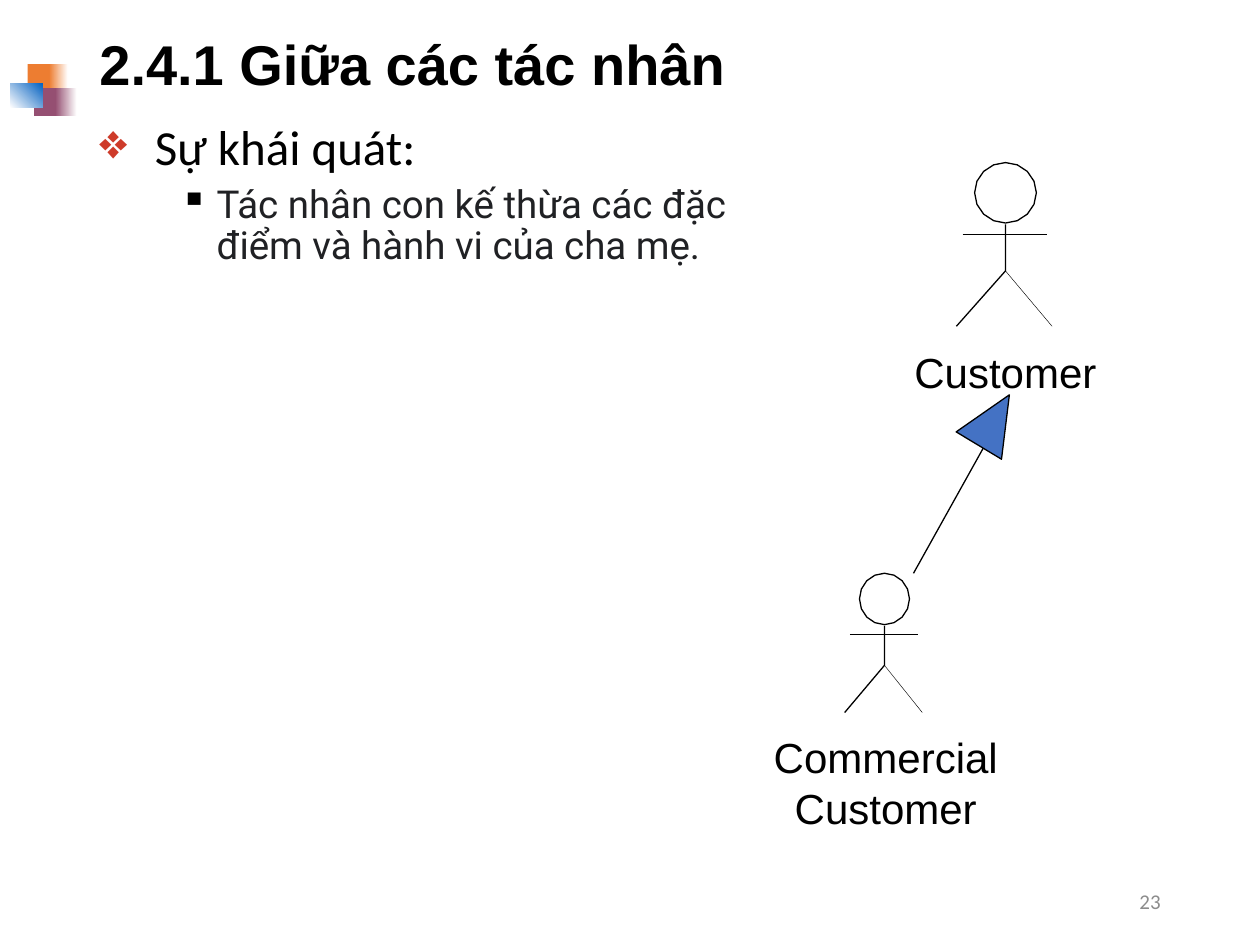
from dataclasses import dataclass
from math import cos, pi, sin

from lxml.etree import SubElement
from pptx import Presentation
from pptx.dml.color import RGBColor
from pptx.enum.shapes import MSO_CONNECTOR as Link, MSO_SHAPE as Preset
from pptx.enum.text import MSO_ANCHOR as Anchor, PP_ALIGN as Align
from pptx.oxml.ns import qn
from pptx.util import Inches, Pt


@dataclass(frozen=True)
class Theme:
    black: str = "000000"
    white: str = "FFFFFF"
    orange: str = "ED7D31"
    plum: str = "954F72"
    blue: str = "0563C1"
    arrow: str = "4472C4"
    bullet: str = "CE3B2A"
    detail: str = "202124"
    number: str = "8C8C8C"
    title_size: float = 32
    topic_size: float = 28
    label_size: float = 24
    detail_size: float = 22
    number_size: float = 12
    hairline: float = 0
    thin: float = 0.25
    line: float = 0.75


THEME = Theme()


@dataclass(frozen=True)
class Tile:
    box: tuple[float, float, float, float]
    colors: tuple[str, ...]
    angle: float = 0


@dataclass(frozen=True)
class Line:
    text: str
    size: float
    font: str = "Arial"
    color: str = THEME.black
    bold: bool = False
    align: Align = Align.LEFT
    spacing: float = 1.0
    before: float = 0
    bullet: str = ""
    bullet_color: str = THEME.black
    margin: float = 0
    hang: float = 0


@dataclass(frozen=True)
class Actor:
    center: float
    top: float
    width_scale: float
    height_scale: float
    label_box: tuple[float, float, float, float]
    label: tuple[str, ...]


TILES = (
    Tile((0.22, 0.51, 0.2, 0.22), (THEME.orange,)),
    Tile((0.39, 0.51, 0.15, 0.22), (THEME.orange, THEME.white)),
    Tile((0.27, 0.7, 0.19, 0.22), (THEME.plum,)),
    Tile((0.44, 0.7, 0.17, 0.22), (THEME.plum, THEME.white)),
    Tile((0.08, 0.66, 0.26, 0.19), (THEME.white, THEME.blue), 45),
)
ACTORS = (
    Actor(7.98, 1.29, 1, 1, (7.15, 2.7, 1.66, 0.53), ("Customer",)),
    Actor(7.02, 4.55, 0.81, 0.85, (6.03, 5.76, 2, 0.96), ("Commercial", "Customer")),
)


def rgb(color: str) -> RGBColor:
    """Turn a hex string into a colour."""
    return RGBColor.from_string(color)


def set_bullet(paragraph, line: Line) -> None:
    """Give a paragraph a coloured bullet and a hanging indent."""
    props = paragraph._p.get_or_add_pPr()
    props.set("marL", str(Inches(line.margin)))
    props.set("indent", str(Inches(-line.hang)))
    SubElement(SubElement(props, qn("a:buClr")), qn("a:srgbClr"), val=line.bullet_color)
    SubElement(props, qn("a:buChar"), char=line.bullet)


def add_text(shapes, box, lines, anchor=Anchor.TOP, wrap: bool = True) -> None:
    """Add a text box with one paragraph for each line."""
    frame = shapes.add_textbox(*map(Inches, box)).text_frame
    frame.word_wrap = wrap
    frame.vertical_anchor = anchor
    for index, line in enumerate(lines):
        paragraph = frame.add_paragraph() if index else frame.paragraphs[0]
        paragraph.alignment = line.align
        paragraph.line_spacing = line.spacing
        paragraph.space_before = Pt(line.before)
        if line.bullet:
            set_bullet(paragraph, line)
        run = paragraph.add_run()
        run.text = line.text
        run.font.name = line.font
        run.font.size = Pt(line.size)
        run.font.bold = line.bold
        run.font.color.rgb = rgb(line.color)


def add_tile(shapes, tile: Tile) -> None:
    """Add one plain or gradient tile of the corner ornament."""
    shape = shapes.add_shape(Preset.RECTANGLE, *map(Inches, tile.box))
    shape.shadow.inherit = False
    shape.line.fill.background()
    if len(tile.colors) == 1:
        shape.fill.solid()
        shape.fill.fore_color.rgb = rgb(tile.colors[0])
        return
    shape.fill.gradient()
    shape.fill.gradient_angle = tile.angle
    for stop, color in zip(shape.fill.gradient_stops, tile.colors):
        stop.color.rgb = rgb(color)


def add_line(shapes, start, end, width: float):
    """Add a straight black connector without a shadow."""
    line = shapes.add_connector(Link.STRAIGHT, *map(Inches, (*start, *end)))
    line.line.color.rgb = rgb(THEME.black)
    line.line.width = Pt(width)
    SubElement(line._element.spPr, qn("a:effectLst"))
    return line


def add_outline(shapes, points, close: bool = False) -> None:
    """Add an unfilled outline through the points."""
    corners = [tuple(map(Inches, point)) for point in points]
    builder = shapes.build_freeform(*corners[0], scale=1.0)
    builder.add_line_segments(corners[1:], close=close)
    shape = builder.convert_to_shape()
    shape.shadow.inherit = False
    shape.fill.background()
    shape.line.color.rgb = rgb(THEME.black)
    shape.line.width = Pt(THEME.hairline)


def add_actor(shapes, actor: Actor) -> None:
    """Add a stick figure and its label."""

    def at(x: float, y: float) -> tuple[float, float]:
        """Place a point of the unit figure on the slide."""
        return actor.center + x * actor.width_scale, actor.top + y * actor.height_scale

    label = [Line(text, THEME.label_size, align=Align.CENTER) for text in actor.label]
    add_text(shapes, actor.label_box, label, wrap=False)
    turns = [step * pi / 8 for step in range(16)]
    add_outline(shapes, [at(0.245 * sin(t), 0.24 - 0.24 * cos(t)) for t in turns], close=True)
    add_outline(shapes, [at(0, 0.49), at(0, 0.86), at(-0.39, 1.3)])
    add_line(shapes, at(0, 0.86), at(0.37, 1.3), THEME.thin)
    add_line(shapes, at(-0.34, 0.57), at(0.33, 0.57), THEME.line)


def add_generalization(shapes) -> None:
    """Add the arrow from the child actor to its parent."""
    shaft = add_line(shapes, (7.25, 4.55), (7.98, 3.24), THEME.line)
    SubElement(shaft.line._get_or_add_ln(), qn("a:tailEnd"), type="arrow")
    head = shapes.add_shape(Preset.FLOWCHART_EXTRACT, *map(Inches, (7.68, 3.1, 0.42, 0.47)))
    head.rotation = 31.1
    head.shadow.inherit = False
    head.fill.solid()
    head.fill.fore_color.rgb = rgb(THEME.arrow)
    head.line.color.rgb = rgb(THEME.black)
    head.line.width = Pt(THEME.line)


def main() -> None:
    """Build the slide and save it."""
    deck = Presentation()
    deck.slide_width, deck.slide_height = Inches(10), Inches(7.5)
    shapes = deck.slides.add_slide(deck.slide_layouts[6]).shapes

    ornament = shapes.add_group_shape().shapes
    for tile in TILES:
        add_tile(ornament, tile)

    title = Line("2.4.1 Giữa các tác nhân", THEME.title_size, bold=True, spacing=0.9)
    topic = Line("Sự khái quát:", THEME.topic_size, "Calibri", spacing=0.9, before=10,
                 bullet="❖", bullet_color=THEME.bullet, margin=0.44, hang=0.44)
    detail = Line("Tác nhân con kế thừa các đặc điểm và hành vi của cha mẹ.",
                  THEME.detail_size, "Roboto", THEME.detail, spacing=0.9, before=5,
                  bullet="▪", margin=0.93, hang=0.29)
    number = Line("23", THEME.number_size, "Calibri", THEME.number, align=Align.RIGHT)
    add_text(shapes, (0.69, 0.13, 8.62, 0.81), [title], Anchor.MIDDLE)
    add_text(shapes, (0.69, 0.93, 5.51, 5.66), [topic, detail])
    add_text(shapes, (7.06, 6.95, 2.25, 0.4), [number], Anchor.MIDDLE)

    diagram = shapes.add_group_shape().shapes
    for actor in ACTORS:
        add_actor(diagram, actor)
    add_generalization(diagram)
    deck.save("out.pptx")


if __name__ == "__main__":
    main()
